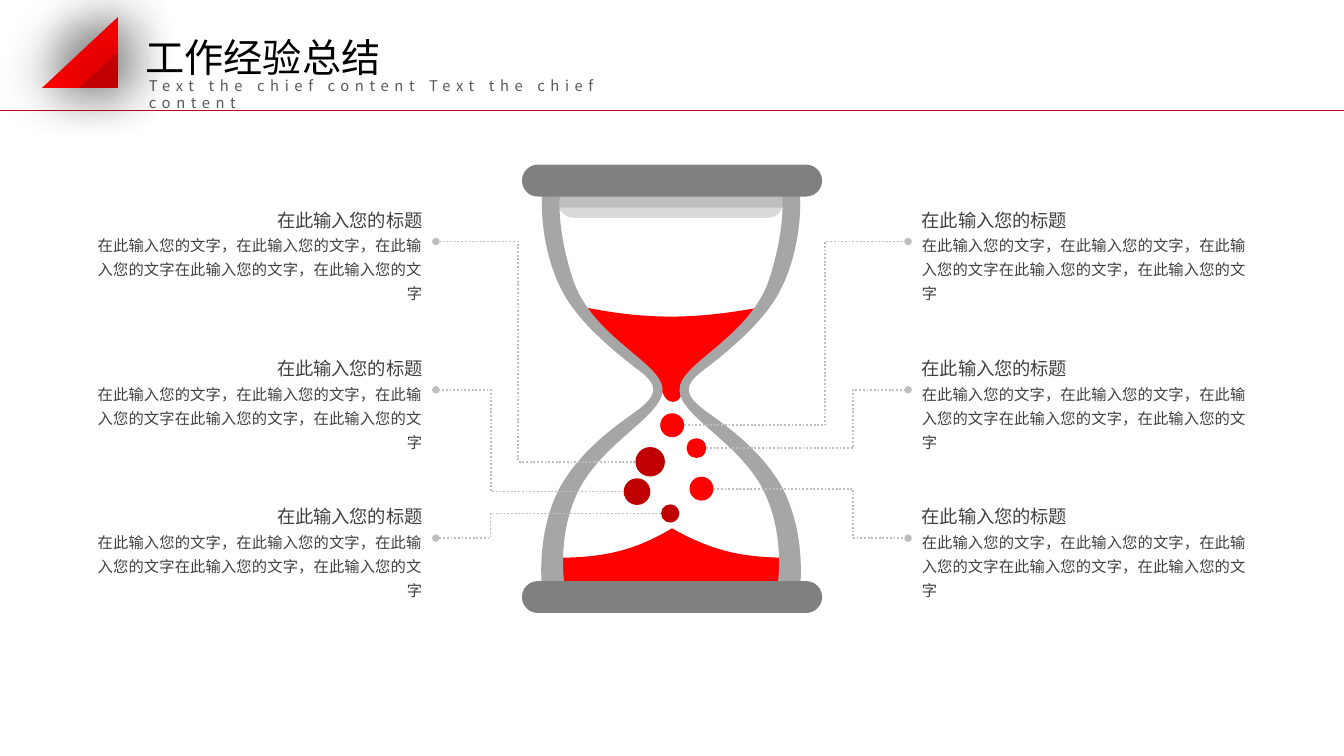
from pptx import Presentation
from pptx.dml.color import RGBColor
from pptx.enum.dml import MSO_LINE
from pptx.enum.shapes import MSO_CONNECTOR, MSO_SHAPE
from pptx.enum.text import MSO_ANCHOR, MSO_AUTO_SIZE, PP_ALIGN
from pptx.oxml import parse_xml
from pptx.oxml.ns import nsdecls, qn
from pptx.util import Pt
from lxml.etree import SubElement

RED = RGBColor(0xFF, 0x00, 0x00)
DARK_RED = RGBColor(0xC0, 0x00, 0x00)
RULE_RED = RGBColor(0xC3, 0x00, 0x22)
BLACK = RGBColor(0x00, 0x00, 0x00)
TEXT = RGBColor(0x40, 0x40, 0x40)
SUBTITLE = RGBColor(0x59, 0x59, 0x59)
CAP = RGBColor(0x80, 0x80, 0x80)
GLASS = RGBColor(0xA6, 0xA6, 0xA6)
SILVER = RGBColor(0xBF, 0xBF, 0xBF)
PALE = RGBColor(0xD9, 0xD9, 0xD9)

HEADING = "在此输入您的标题"
BODY = "在此输入您的文字，在此输入您的文字，在此输入您的文字在此输入您的文字，在此输入您的文字"

# Outlines: a pair is a corner, six numbers are a Bezier curve.
WALL = [
    (290.9, 97.9),
    (288.7, 115.9, 292.3, 139, 301, 155.5),
    (309.6, 172.8, 331.2, 190.1, 342.7, 198.7),
    (354.2, 207.4, 350.6, 212.4, 342.7, 218.9),
    (334.1, 225.4, 313.2, 238.3, 300.2, 260.6),
    (288, 283.7, 289.4, 309.6, 290.9, 319.7),
    (303.1, 319.7),
    (303.8, 320.4, 296.6, 292.3, 308.9, 265),
    (321.1, 237.6, 355, 223.2, 355, 208.8),
    (355, 194.4, 316.8, 180.7, 306.7, 149),
    (296.6, 117.4, 300.2, 98.6, 301, 97.9),
]
TOP_SAND = [
    (311, 164.2),
    (316.8, 172.1, 329, 182.9, 335.5, 189.4),
    (342.7, 195.8, 346.3, 198, 350.6, 203),
    (355, 207.4, 355, 215.3, 360.7, 215.3),
    (365.8, 215.3, 365.8, 206.6, 369.4, 200.9),
    (373, 195.8, 382.3, 190.8, 389.5, 184.3),
    (396.7, 177.1, 406.1, 171.4, 409.7, 164.2),
    (371.5, 171.4, 346.3, 171.4, 311, 164.2),
]
BOTTOM_SAND = [
    (297.4, 298.8),
    (319, 298.8, 337.7, 296.6, 360, 283),
    (383.8, 296.6, 401, 298.8, 424.1, 298.8),
    (425.5, 306, 424.1, 313.9, 424.1, 321.8),
    (297.4, 321.8),
    (297.4, 313.9, 296.6, 306.7, 297.4, 298.8),
]


def mirror(outline, axis=359.5):
    return [tuple(v if i % 2 else 2 * axis - v for i, v in enumerate(part))
            for part in outline]


class Deck:
    font = "Noto Sans CJK SC"

    def __init__(self, width, height):
        self.prs = Presentation()
        self.prs.slide_width, self.prs.slide_height = Pt(width), Pt(height)
        self.s = self.prs.slides.add_slide(self.prs.slide_layouts[5])

    def format_run(self, r, size, color, spacing=0):
        r.font.size, r.font.name = Pt(size), self.font
        r.font.color.rgb = color
        rPr = r.font._element
        SubElement(rPr, qn("a:ea")).set("typeface", self.font)
        if spacing:
            rPr.set("spc", str(spacing * 100))

    def fill_text(self, sp, lines, align=PP_ALIGN.LEFT, line_spacing=1.0):
        """Set lines of (text, size, colour, letter spacing) in a shape."""
        tf = sp.text_frame
        tf.text = "\n".join(line[0] for line in lines)
        tf.word_wrap, tf.auto_size = True, MSO_AUTO_SIZE.SHAPE_TO_FIT_TEXT
        tf.vertical_anchor = MSO_ANCHOR.TOP
        for p, line in zip(tf.paragraphs, lines):
            p.alignment, p.line_spacing = align, line_spacing
            self.format_run(p.runs[0], *line[1:])

    def title(self, text, x, y, w, h):
        sp = self.s.shapes.title
        sp.left, sp.top, sp.width, sp.height = Pt(x), Pt(y), Pt(w), Pt(h)
        self.fill_text(sp, [(text, 21, BLACK)])

    def text(self, lines, x, y, w, h, **style):
        sp = self.s.shapes.add_textbox(Pt(x), Pt(y), Pt(w), Pt(h))
        self.fill_text(sp, lines, **style)

    def paint(self, sp, color):
        sp.shadow.inherit = False
        sp.fill.solid()
        sp.fill.fore_color.rgb = color
        sp.line.fill.background()

    def bar(self, x, y, w, h, color, rounding):
        sp = self.s.shapes.add_shape(MSO_SHAPE.ROUNDED_RECTANGLE, Pt(x), Pt(y), Pt(w), Pt(h))
        sp.adjustments[0] = rounding
        self.paint(sp, color)

    def grain(self, cx, cy, d, color):
        sp = self.s.shapes.add_shape(MSO_SHAPE.OVAL, Pt(cx - d / 2), Pt(cy - d / 2), Pt(d), Pt(d))
        self.paint(sp, color)

    def outline(self, parts, color, shadow=False):
        """Closed freeform; its segments become curves where a part has six numbers."""
        start, *rest = [(Pt(part[-2]), Pt(part[-1])) for part in parts]
        builder = self.s.shapes.build_freeform(*start)
        builder.add_line_segments(rest, close=True)
        sp = builder.convert_to_shape()
        self.paint(sp, color)
        segments = list(sp._element.iter(qn("a:lnTo")))
        for segment, part in zip(segments, parts[1:]):
            if len(part) == 6:
                segment.tag = qn("a:cubicBezTo")
                end = segment[0]
                for x, y in (part[:2], part[2:4]):
                    pt = parse_xml(f'<a:pt {nsdecls("a")} x="{Pt(x) - sp.left}" y="{Pt(y) - sp.top}"/>')
                    end.addprevious(pt)
        if shadow:
            sp._element.spPr.find(qn("a:effectLst")).append(parse_xml(
                f'<a:outerShdw {nsdecls("a")} blurRad="{Pt(33)}" dist="{Pt(3)}" dir="16200000" '
                'algn="ctr" rotWithShape="0"><a:srgbClr val="000000">'
                '<a:alpha val="90000"/></a:srgbClr></a:outerShdw>'))

    def connector(self, kind, start, end, color, width):
        c = self.s.shapes.add_connector(kind, *map(Pt, start + end))
        c.line.color.rgb, c.line.width = color, Pt(width)
        SubElement(c._element.spPr, qn("a:effectLst"))
        return c

    def elbow(self, start, end, bend_x):
        """Dotted bent line with a round end, turning at bend_x."""
        c = self.connector(MSO_CONNECTOR.ELBOW, start, end, SILVER, 1)
        c.line.dash_style = MSO_LINE.ROUND_DOT
        tail = SubElement(c.line._get_or_add_ln(), qn("a:tailEnd"))
        for name, value in (("type", "oval"), ("w", "sm"), ("len", "sm")):
            tail.set(name, value)
        ratio = (bend_x - start[0]) / (end[0] - start[0])
        guide = SubElement(c._element.spPr.prstGeom.get_or_add_avLst(), qn("a:gd"))
        guide.set("name", "adj1")
        guide.set("fmla", f"val {round(ratio * 100000)}")


def main():
    deck = Deck(720, 405)
    deck.title("工作经验总结", 70.6, 14.4, 146, 32.4)
    deck.text([("Text the chief content Text the chief content", 7.9, SUBTITLE, 3)],
              72.7, 37.4, 297.4, 16.6)
    deck.connector(MSO_CONNECTOR.STRAIGHT, (0, 59), (720, 59), RULE_RED, 0.5)

    deck.outline(BOTTOM_SAND, RED)
    deck.outline(TOP_SAND, RED)
    deck.bar(298.8, 99.4, 121, 17.3, PALE, 0.5)
    deck.bar(296.6, 94, 126.7, 17.3, SILVER, 0)
    deck.outline(WALL, GLASS)
    deck.outline(mirror(WALL), GLASS)
    for y in (88.2, 311.3):
        deck.bar(279.6, y, 160.8, 17.1, CAP, 0.5)

    # Per row: centre x, centre y and diameter of the grain, then the bend.
    left_grains = [(348.3, 247.4, 15.8, 277.6), (341.3, 263.4, 14.3, 263),
                   (359.1, 275.1, 9.8, 262.8)]
    right_grains = [(360.1, 227.8, 12.8, 442.1), (373.1, 240.1, 10.6, 457),
                    (375.8, 261.8, 12.8, 457)]
    sides = [(left_grains, DARK_RED, 39.6, 233.5, -1, PP_ALIGN.RIGHT),
             (right_grains, RED, 486.7, 486.5, 1, PP_ALIGN.LEFT)]
    row_pitch = 79.45
    for grains, color, text_x, end_x, direction, align in sides:
        for row, (cx, cy, d, bend_x) in enumerate(grains):
            offset = row * row_pitch
            deck.grain(cx, cy, d, color)
            deck.text([(HEADING, 9.75, TEXT), (BODY, 8.25, TEXT)],
                      text_x, 105 + offset, 193.7, 61.2, align=align, line_spacing=1.3)
            deck.elbow((cx + direction * d / 2, cy), (end_x, 129.4 + offset), bend_x)

    for x, y, color in ((22.5, 9.1, RED), (42.3, 28, DARK_RED)):
        deck.outline([(63.2, y), (x, 47.1), (63.2, 47.1)], color, shadow=True)
    deck.prs.save("out.pptx")


if __name__ == "__main__":
    main()
